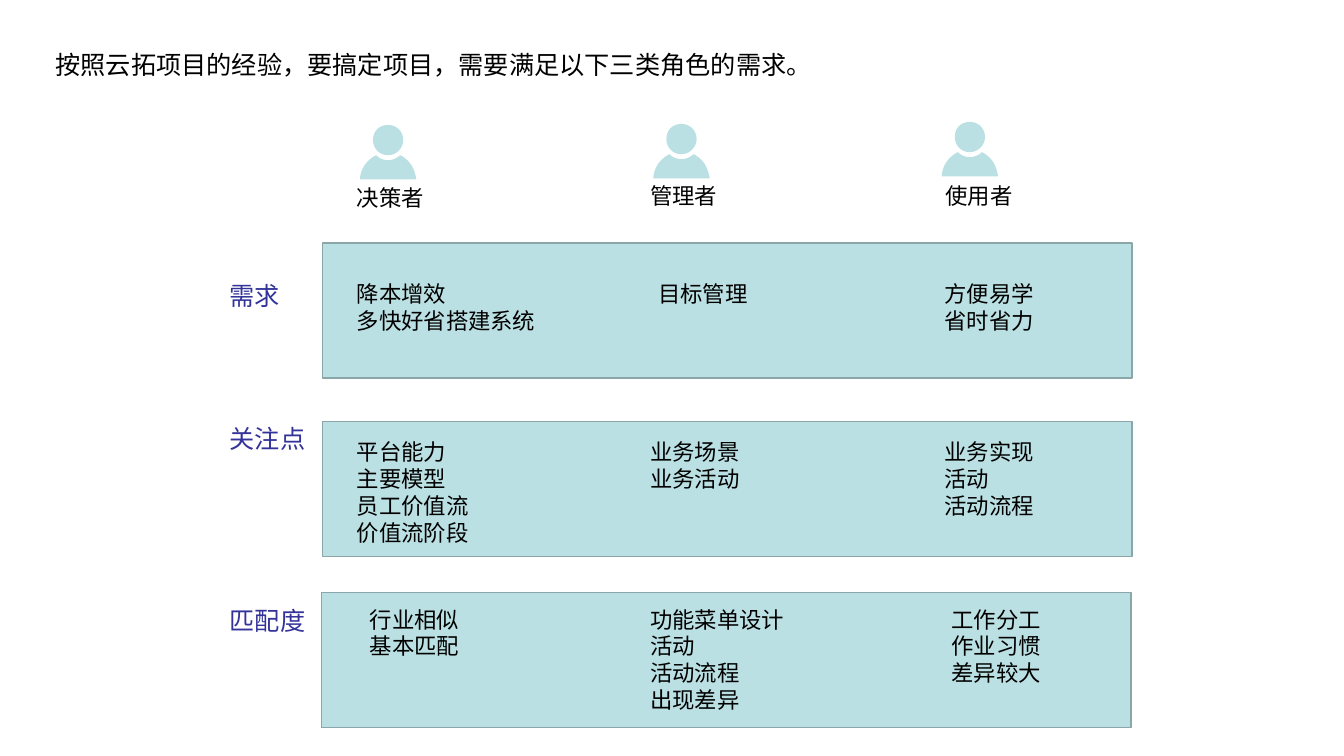
from dataclasses import dataclass

from pptx import Presentation
from pptx import util as u
from pptx.dml.color import RGBColor
from pptx.enum import shapes, text
from pptx.oxml.ns import qn

FONT = "Noto Sans CJK SC"
BLACK, INDIGO, AQUA, EDGE = "000000", "333399", "BBE0E3", "8AA6A8"
LABEL_LEFT = 2.18
BAND_WIDTH, BAND_HEIGHT = 8.03, 1.34
LINE_RATIO = 1.2
UNITS_PER_INCH = 100

# Icon outlines in hundredths of an inch: a start point, then three points per cubic curve
HEAD = [(13, 15), (13, 6), (19, 0), (28, 0), (36, 0), (43, 6), (43, 15),
        (43, 23), (36, 30), (28, 30), (19, 30), (13, 23), (13, 15)]
SHOULDERS = [(0, 54), (0, 50), (2, 37), (16, 30), (19, 33), (23, 35), (28, 35),
             (32, 35), (37, 33), (40, 30), (54, 37), (55, 50), (56, 54)]


@dataclass
class Role:
    name: str
    icon_left: float
    icon_top: float
    name_left: float
    name_top: float


@dataclass
class Cell:
    left: float
    width: float
    lines: list[str]


@dataclass
class Band:
    label: str
    label_top: float
    label_width: float
    left: float
    top: float
    text_top: float
    cells: list[Cell]


ROLES = [
    Role("决策者", 3.57, 1.24, 3.44, 1.78),
    Role("管理者", 6.48, 1.23, 6.35, 1.76),
    Role("使用者", 9.34, 1.21, 9.28, 1.76),
]

BANDS = [
    Band("需求", 2.73, 0.85, 3.2, 2.41, 2.73, [
        Cell(3.44, 2.4, ["降本增效", "多快好省搭建系统"]),
        Cell(6.43, 2.4, ["目标管理"]),
        Cell(9.27, 1.38, ["方便易学", "省时省力"]),
    ]),
    Band("关注点", 4.15, 1.01, 3.2, 4.18, 4.3, [
        Cell(3.44, 1.48, ["平台能力", "主要模型", "员工价值流", "价值流阶段"]),
        Cell(6.35, 1.48, ["业务场景", "业务活动"]),
        Cell(9.27, 1.48, ["业务实现", "活动", "活动流程"]),
    ]),
    Band("匹配度", 5.96, 1.01, 3.19, 5.88, 5.96, [
        Cell(3.57, 1.48, ["行业相似", "基本匹配"]),
        Cell(6.35, 1.71, ["功能菜单设计", "活动", "活动流程", "出现差异"]),
        Cell(9.34, 1.71, ["工作分工", "作业习惯", "差异较大"]),
    ]),
]


def color(value: str) -> RGBColor:
    return RGBColor.from_string(value)


def write_text(shape, lines: list[str], size: float, font_color: str) -> None:
    frame = shape.text_frame
    frame.text = "\n".join(lines)
    frame.word_wrap = True
    frame.auto_size = text.MSO_AUTO_SIZE.SHAPE_TO_FIT_TEXT
    frame.vertical_anchor = text.MSO_ANCHOR.TOP
    frame.margin_left = frame.margin_right = u.Inches(0.1)
    frame.margin_top = frame.margin_bottom = u.Inches(0.05)
    for paragraph in frame.paragraphs:
        paragraph.alignment = text.PP_ALIGN.LEFT
        paragraph.line_spacing = u.Pt(size * LINE_RATIO)
        paragraph.space_before = u.Pt(0)
        for run in paragraph.runs:
            run.font.size = u.Pt(size)
            run.font.name = FONT
            run.font.color.rgb = color(font_color)
            # Chinese glyphs take the East Asian typeface
            east_asian = run.font._element.makeelement(qn("a:ea"), {"typeface": FONT})
            run.font._element.append(east_asian)


def add_text(parent, left: float, top: float, width: float, lines: list[str],
             size: float = 16, font_color: str = BLACK) -> None:
    height = 0.1 + len(lines) * size * LINE_RATIO / 72
    box = parent.add_textbox(u.Inches(left), u.Inches(top), u.Inches(width), u.Inches(height))
    write_text(box, lines, size, font_color)


def curve_segments(shape) -> None:
    """Turn every three line segments of a freeform into one cubic curve."""
    segments = list(shape._element.iter(qn("a:lnTo")))
    for index in range(0, len(segments), 3):
        first, *others = segments[index:index + 3]
        curve = first.makeelement(qn("a:cubicBezTo"), {})
        first.addprevious(curve)
        for segment in (first, *others):
            curve.append(segment[0])
            segment.getparent().remove(segment)


def add_role(slide, role: Role) -> None:
    group = slide.shapes.add_group_shape()
    builder = group.shapes.build_freeform(*HEAD[0], scale=u.Inches(1) / UNITS_PER_INCH)
    builder.add_line_segments(HEAD[1:], close=True)
    builder.move_to(*SHOULDERS[0])
    builder.add_line_segments(SHOULDERS[1:], close=True)
    icon = builder.convert_to_shape(u.Inches(role.icon_left), u.Inches(role.icon_top))
    curve_segments(icon)
    icon.shadow.inherit = False
    icon.fill.solid()
    icon.fill.fore_color.rgb = color(AQUA)
    icon.line.fill.background()
    add_text(group.shapes, role.name_left, role.name_top, 1.04, [role.name])


def add_panel(slide, band: Band) -> None:
    panel = slide.shapes.add_shape(
        shapes.MSO_SHAPE.RECTANGLE, u.Inches(band.left), u.Inches(band.top),
        u.Inches(BAND_WIDTH), u.Inches(BAND_HEIGHT))
    panel.shadow.inherit = False
    panel.fill.solid()
    panel.fill.fore_color.rgb = color(AQUA)
    panel.line.color.rgb = color(EDGE)
    panel.line.width = u.Pt(1)


def add_band_text(slide, band: Band) -> None:
    add_text(slide.shapes, LABEL_LEFT, band.label_top, band.label_width,
             [band.label], 18, INDIGO)
    for cell in band.cells:
        add_text(slide.shapes, cell.left, band.text_top, cell.width, cell.lines)


def main() -> None:
    presentation = Presentation()
    presentation.slide_width = u.Inches(13.33)
    presentation.slide_height = u.Inches(7.5)
    slide = presentation.slides.add_slide(presentation.slide_layouts[5])

    # Title
    title = slide.shapes.title
    title.left, title.top = u.Inches(0.45), u.Inches(0.44)
    title.width, title.height = u.Inches(8.01), u.Inches(0.4)
    write_text(title, ["按照云拓项目的经验，要搞定项目，需要满足以下三类角色的需求。"], 18, BLACK)

    # Panels at the back, lowest first
    for band in reversed(BANDS):
        add_panel(slide, band)

    # Roles across the top, then the text of each band
    for role in ROLES:
        add_role(slide, role)
    for band in BANDS:
        add_band_text(slide, band)

    presentation.save("out.pptx")


if __name__ == "__main__":
    main()
